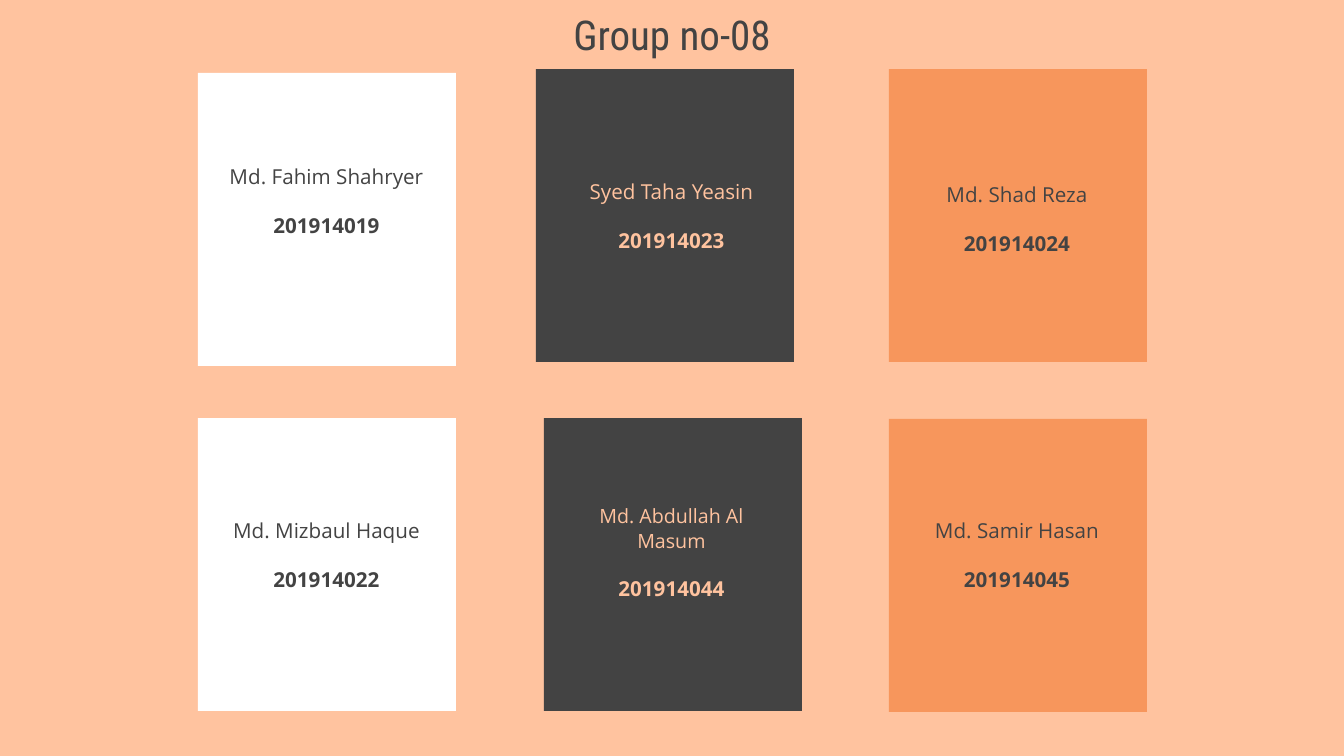
"""Build the group members slide: a title above six cards in three colour columns."""
from pptx import Presentation
from pptx.dml.color import RGBColor
from pptx.enum.shapes import MSO_SHAPE
from pptx.enum.text import MSO_ANCHOR, PP_ALIGN
from pptx.util import Emu, Pt

RECTANGLE = MSO_SHAPE.RECTANGLE
CENTER = PP_ALIGN.CENTER
MIDDLE, BOTTOM = MSO_ANCHOR.MIDDLE, MSO_ANCHOR.BOTTOM

PEACH, ORANGE, CHARCOAL, WHITE = "FFC39F", "F7965C", "434343", "FFFFFF"
TITLE = "Group no-08"
TITLE_FONT, BODY_FONT = "Roboto Condensed", "Open Sans"
TITLE_SIZE, NAME_SIZE, LONG_NAME_SIZE = 29.3, 14.7, 14
LINE_PITCH = 17.5
CARD_WIDTH, CARD_HEIGHT = 258, 293

# fill, ink, label left, label width, label height
COLUMNS = [
    (WHITE, CHARCOAL, 219, 215, 152),
    (CHARCOAL, PEACH, 564, 215, 182),
    (ORANGE, CHARCOAL, 912, 210, 188),
]
# name, student number, name size, card left, card top, label top
MEMBERS = [
    ("Md. Fahim Shahryer", "201914019", NAME_SIZE, 198, 73, 125),
    ("Syed Taha Yeasin", "201914023", NAME_SIZE, 536, 69, 125),
    ("Md. Shad Reza", "201914024", NAME_SIZE, 889, 69, 125),
    ("Md. Mizbaul Haque", "201914022", NAME_SIZE, 198, 418, 479),
    ("Md. Abdullah Al Masum", "201914044", LONG_NAME_SIZE, 544, 418, 461),
    ("Md. Samir Hasan", "201914045", NAME_SIZE, 889, 419, 461),
]


def px(*lengths):
    return [Emu(round(length * 914400 / 100.8)) for length in lengths]


def color(hex_string):
    return RGBColor.from_string(hex_string)


def add_card(slide, left, top, fill):
    card = slide.shapes.add_shape(RECTANGLE, *px(left, top, CARD_WIDTH, CARD_HEIGHT))
    card.shadow.inherit = False
    card.fill.solid()
    card.fill.fore_color.rgb = color(fill)
    card.line.fill.background()


def add_text_frame(slide, box, anchor):
    frame = slide.shapes.add_textbox(*px(*box)).text_frame
    frame.word_wrap = True
    frame.vertical_anchor = anchor
    frame.margin_left = frame.margin_top = frame.margin_right = frame.margin_bottom = 0
    return frame


def write(paragraph, text, font, size, ink, bold=False):
    paragraph.alignment = CENTER
    run = paragraph.add_run()
    run.text = text
    run.font.name = font
    run.font.size = Pt(size)
    run.font.bold = bold
    run.font.color.rgb = color(ink)


presentation = Presentation()
presentation.slide_width, presentation.slide_height = px(1344, 756)
slide = presentation.slides.add_slide(presentation.slide_layouts[6])
slide.background.fill.solid()
slide.background.fill.fore_color.rgb = color(PEACH)

heading = add_text_frame(slide, (44, 0, 1256, 59), BOTTOM)
write(heading.paragraphs[0], TITLE, TITLE_FONT, TITLE_SIZE, CHARCOAL)

for index, (name, number, size, left, top, label_top) in enumerate(MEMBERS):
    fill, ink, label_left, label_width, label_height = COLUMNS[index % len(COLUMNS)]
    add_card(slide, left, top, fill)
    label = add_text_frame(slide, (label_left, label_top, label_width, label_height), MIDDLE)
    name_line, number_line = label.paragraphs[0], label.add_paragraph()
    write(name_line, name, BODY_FONT, size, ink)
    write(number_line, number, BODY_FONT, NAME_SIZE, ink, bold=True)
    name_line.line_spacing = number_line.line_spacing = Pt(LINE_PITCH)
    number_line.space_before = Pt(LINE_PITCH)

presentation.save("out.pptx")
